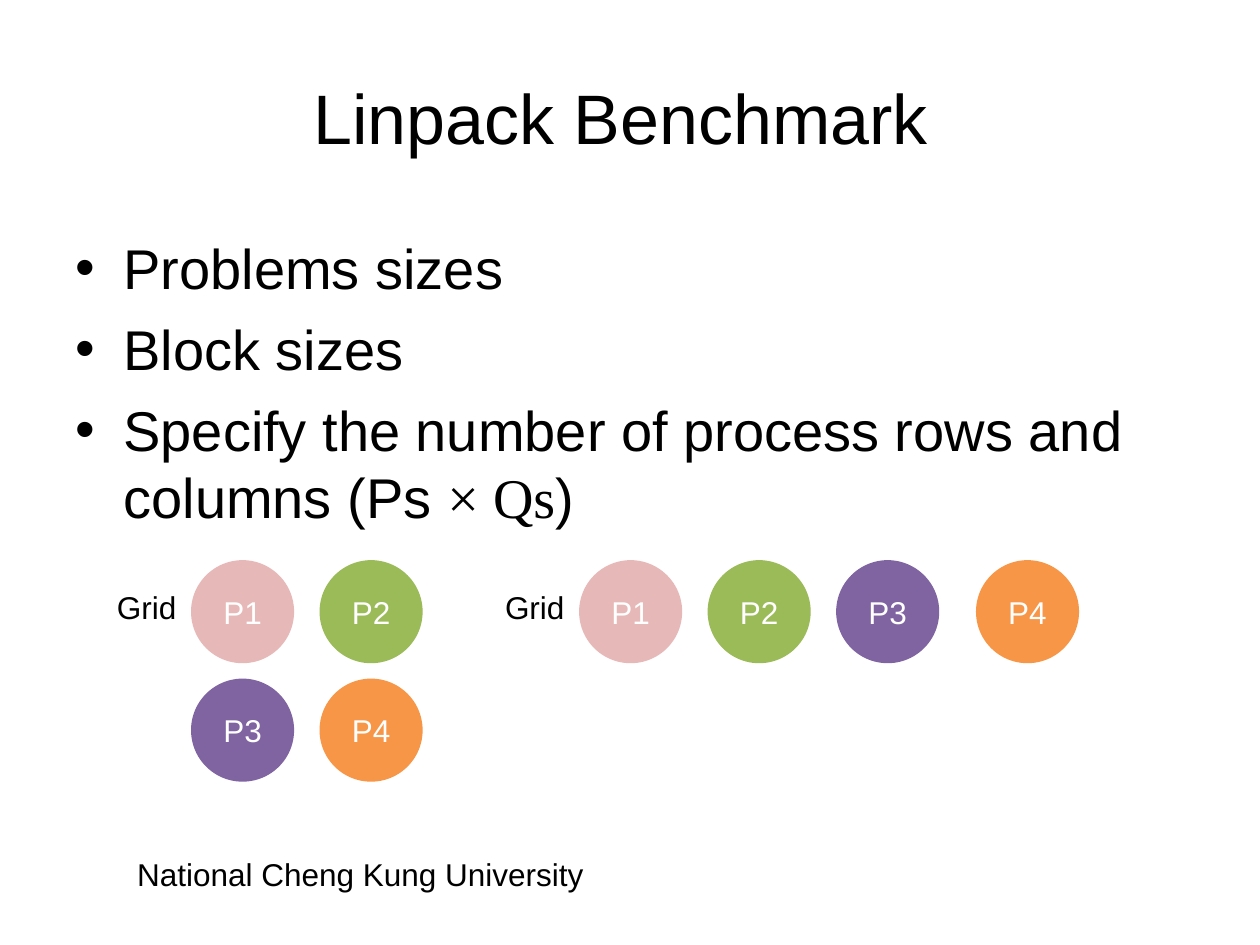
import pptx
import pptx.dml.color
import pptx.enum.shapes
import pptx.enum.text
import pptx.util
from lxml import etree

Inches, Pt = pptx.util.Inches, pptx.util.Pt
RGBColor = pptx.dml.color.RGBColor
Align = pptx.enum.text.PP_ALIGN
Anchor = pptx.enum.text.MSO_ANCHOR
AutoSize = pptx.enum.text.MSO_AUTO_SIZE

BLACK = RGBColor(0x00, 0x00, 0x00)
WHITE = RGBColor(0xFF, 0xFF, 0xFF)
PROCESS_COLORS = [
    RGBColor(0xE6, 0xB9, 0xB8),
    RGBColor(0x9B, 0xBB, 0x59),
    RGBColor(0x80, 0x64, 0xA2),
    RGBColor(0xF7, 0x96, 0x46),
]

COLUMN, ROW = 1.02, 0.94
DIAMETER = 0.79
GRID_TOP = 4.46
LABEL_OFFSET = 0.7


def add_span(para, text, size, color=BLACK, name="Arial"):
    span = para.add_run()
    span.text = text
    for key, value in {"size": Pt(size), "name": name}.items():
        setattr(span.font, key, value)
    span.font.color.rgb = color


def place(box, left, top, width, height):
    bounds = {"left": left, "top": top, "width": width, "height": height}
    for key, value in bounds.items():
        setattr(box, key, Inches(value))


deck = pptx.Presentation()
deck.slide_width, deck.slide_height = Inches(10), Inches(7.5)
page = deck.slides.add_slide(deck.slide_layouts[1])

# Title
title = page.shapes.title
place(title, 0.5, 0.3, 9, 1.25)
title.text_frame.auto_size = AutoSize.NONE
title.text_frame.vertical_anchor = Anchor.MIDDLE
title_para = title.text_frame.paragraphs[0]
title_para.alignment = Align.CENTER
add_span(title_para, "Linpack Benchmark ", 40)

# Bullet list
body = page.placeholders[1]
place(body, 0.5, 1.8, 9, 4.78)
body.text_frame.auto_size = AutoSize.NONE
bullets = [
    [("Problems sizes", "Arial")],
    [("Block sizes", "Arial")],
    [
        ("Specify the number of process rows and columns (Ps ", "Arial"),
        ("× Qs", "Times New Roman"),
        (")", "Arial"),
    ],
]
for index, spans in enumerate(bullets):
    para = body.text_frame.paragraphs[0] if index == 0 else body.text_frame.add_paragraph()
    properties = para._p.get_or_add_pPr()
    properties.set("marL", str(Inches(0.38)))
    properties.set("indent", str(-Inches(0.38)))
    bullet = etree.SubElement(properties, pptx.oxml.ns.qn("a:buChar"))
    bullet.set("char", "•")
    para.space_before = Pt(8 if index else 0)
    for text, name in spans:
        add_span(para, text, 32, name=name)

# Process grids: left edge, number of columns, extra gap before the last column
for grid_left, columns, last_gap in [(1.53, 2, 0), (4.61, 4, 0.09)]:
    for index, color in enumerate(PROCESS_COLORS):
        row, column = divmod(index, columns)
        left = grid_left + column * COLUMN + (last_gap if column == columns - 1 else 0)
        circle = page.shapes.add_shape(
            pptx.enum.shapes.MSO_SHAPE.OVAL,
            Inches(left), Inches(GRID_TOP + row * ROW),
            Inches(DIAMETER), Inches(DIAMETER),
        )
        circle.shadow.inherit = False
        circle.fill.solid()
        circle.fill.fore_color.rgb = color
        circle.line.color.rgb = color
        circle.line.width = Pt(2)
        circle.text_frame.vertical_anchor = Anchor.MIDDLE
        para = circle.text_frame.paragraphs[0]
        para.alignment = Align.CENTER
        add_span(para, f"P{index + 1}", 18, WHITE)

# Grid labels and footer
for text, left, top, width, wrap in [
    ("Grid", 1.53 - LABEL_OFFSET, 4.62, 0.68, False),
    ("Grid", 4.61 - LABEL_OFFSET, 4.62, 0.68, False),
    ("National Cheng Kung University", 0.99, 6.74, 5.35, True),
]:
    box = page.shapes.add_textbox(Inches(left), Inches(top), Inches(width), Inches(0.4))
    box.text_frame.word_wrap = wrap
    box.text_frame.auto_size = AutoSize.SHAPE_TO_FIT_TEXT
    add_span(box.text_frame.paragraphs[0], text, 18)

deck.save("out.pptx")
